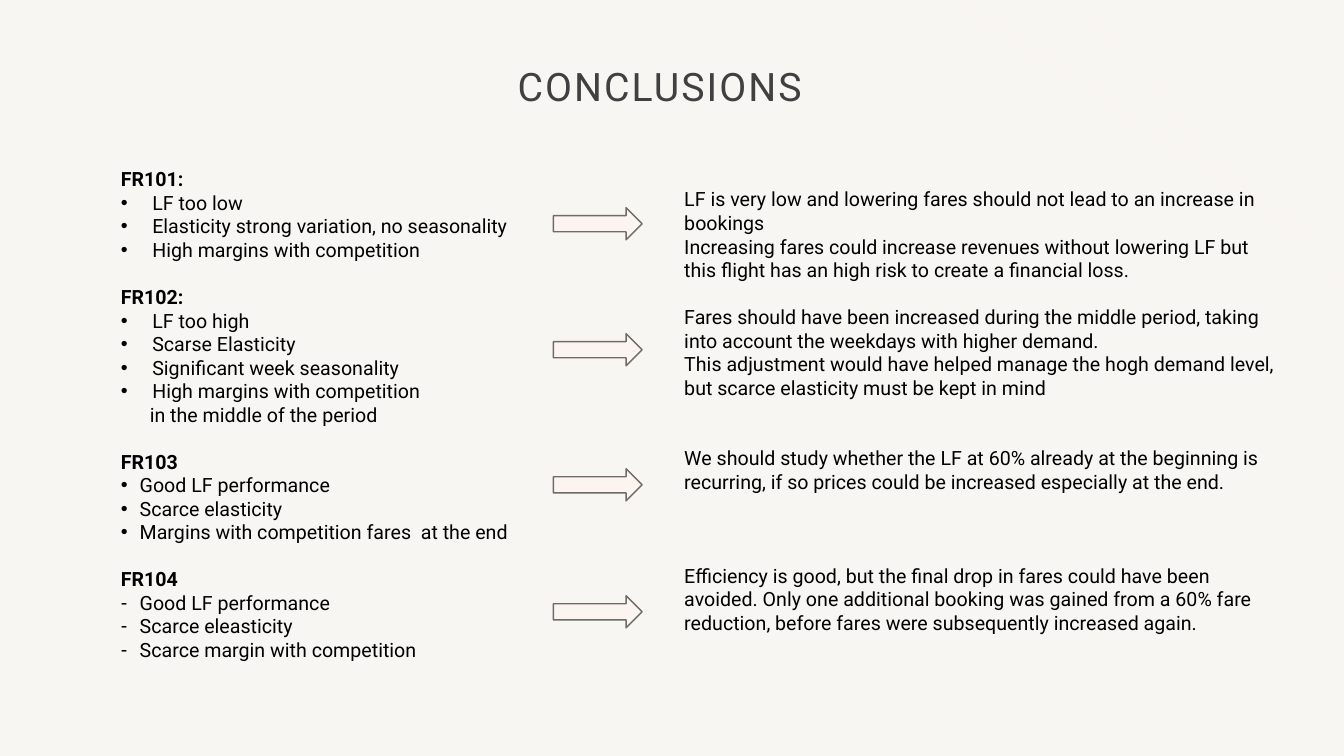
from lxml.etree import SubElement
from pptx import Presentation
from pptx.dml.color import RGBColor
from pptx.enum.shapes import MSO_CONNECTOR, MSO_SHAPE
from pptx.enum.text import MSO_ANCHOR, MSO_AUTO_SIZE, PP_ALIGN
from pptx.oxml.ns import qn
from pptx.util import Pt

BODY = {"name": "Roboto", "size": Pt(14)}
HEADING = {**BODY, "bold": True}
TITLE = {"name": "Roboto", "size": Pt(28), "bold": False}
BLANK_LINE = 16.8

FLIGHTS = [
    ("FR101:", "•", 22.5, 148.3,
     ["LF too low", "Elasticity strong variation, no seasonality",
      "High margins with competition"], None),
    ("FR102:", "•", 22.5, 238.3,
     ["LF too high", "Scarse Elasticity", "Significant week seasonality",
      "High margins with competition"], "in the middle of the period"),
    ("FR103", "•", 13.5, 334.8,
     ["Good LF performance", "Scarce elasticity",
      "Margins with competition fares  at the end"], None),
    ("FR104", "-", 13.5, 425.5,
     ["Good LF performance", "Scarce eleasticity",
      "Scarce margin with competition"], None),
]

ADVICE = [
    (0, ["LF is very low and lowering fares should not lead to an increase in bookings",
         "Increasing fares could increase revenues without lowering LF but this flight "
         "has an high risk to create a financial loss."]),
    (1, ["Fares should have been increased during the middle period, taking into account "
         "the weekdays with higher demand.",
         "This adjustment would have helped manage the hogh demand level, but scarce "
         "elasticity must be kept in mind"]),
    (2, ["We should study whether the LF at 60% already at the beginning is recurring, "
         "if so prices could be increased especially at the end."]),
    (3, ["Efficiency is good, but the final drop in fares could have been avoided. "
         "Only one additional booking was gained from a 60% fare reduction, before fares "
         "were subsequently increased again."]),
]


def color(hex_value):
    return RGBColor.from_string(hex_value)


def format_font(font, formats, hex_value="000000"):
    for attribute, value in formats.items():
        setattr(font, attribute, value)
    font.color.rgb = color(hex_value)


def add_title(slide, text):
    title = slide.shapes.title
    place = {"left": 139.7, "top": 11.5, "width": 663.1, "height": 104.4}
    for attribute, value in place.items():
        setattr(title, attribute, Pt(value))
    frame = title.text_frame
    frame.auto_size = MSO_AUTO_SIZE.NONE
    frame.vertical_anchor = MSO_ANCHOR.MIDDLE
    paragraph = frame.paragraphs[0]
    paragraph.alignment = PP_ALIGN.CENTER
    paragraph.line_spacing = 0.9
    run = paragraph.add_run()
    run.text = text
    format_font(run.font, TITLE, "404040")
    run.font._element.set("spc", "150")


def add_column(slide, left, top, width, height):
    frame = slide.shapes.add_textbox(Pt(left), Pt(top), Pt(width), Pt(height)).text_frame
    frame.word_wrap = True
    return frame


def add_line(frame, text, formats=BODY, blanks=0, bullet=None, margin=0):
    first = frame.paragraphs[0]
    paragraph = frame.add_paragraph() if first.runs else first
    run = paragraph.add_run()
    run.text = text
    format_font(run.font, formats)
    paragraph.space_before = Pt(blanks * BLANK_LINE)
    properties = paragraph._p.get_or_add_pPr()
    properties.set("marL", str(Pt(margin)))
    if bullet:
        properties.set("indent", str(-Pt(margin)))
        SubElement(properties, qn("a:buFont"), typeface="Arial")
        SubElement(properties, qn("a:buChar"), char=bullet)


def add_arrow(slide, top):
    arrow = slide.shapes.add_shape(
        MSO_SHAPE.RIGHT_ARROW, Pt(395.3), Pt(top), Pt(63.4), Pt(23))
    arrow.shadow.inherit = False
    arrow.fill.solid()
    arrow.fill.fore_color.rgb = color("FBF4EF")
    arrow.line.color.rgb = color("6E6B69")
    arrow.line.width = Pt(1)


def add_corner_line(slide, start, end):
    line = slide.shapes.add_connector(
        MSO_CONNECTOR.STRAIGHT, Pt(start), Pt(0), Pt(960), Pt(end))
    line.line.color.rgb = color("FBF4EF")
    line.line.width = Pt(0.5)
    SubElement(line._element.spPr, qn("a:effectLst"))


def main():
    deck = Presentation()
    deck.slide_width, deck.slide_height = Pt(960), Pt(540)
    slide = deck.slides.add_slide(deck.slide_layouts[5])
    slide.background.fill.solid()
    slide.background.fill.fore_color.rgb = color("F7F6F3")

    for start, end in [(684, 185), (765.4, 212.4)]:
        add_corner_line(slide, start, end)
    add_title(slide, "CONCLUSIONS")

    findings = add_column(slide, 79.2, 115.9, 740.9, 380.2)
    for index, (flight, bullet, margin, _, points, continuation) in enumerate(FLIGHTS):
        add_line(findings, flight, HEADING, blanks=min(index, 1))
        for point in points:
            add_line(findings, point, bullet=bullet, margin=margin)
        if continuation:
            add_line(findings, continuation, margin=20.7)

    recommendations = add_column(slide, 481.7, 130.3, 444.2, 329.8)
    for blanks, sentences in ADVICE:
        for position, sentence in enumerate(sentences):
            add_line(recommendations, sentence, blanks=0 if position else blanks)

    for _, _, _, arrow_top, _, _ in FLIGHTS:
        add_arrow(slide, arrow_top)

    deck.save("out.pptx")


if __name__ == "__main__":
    main()
